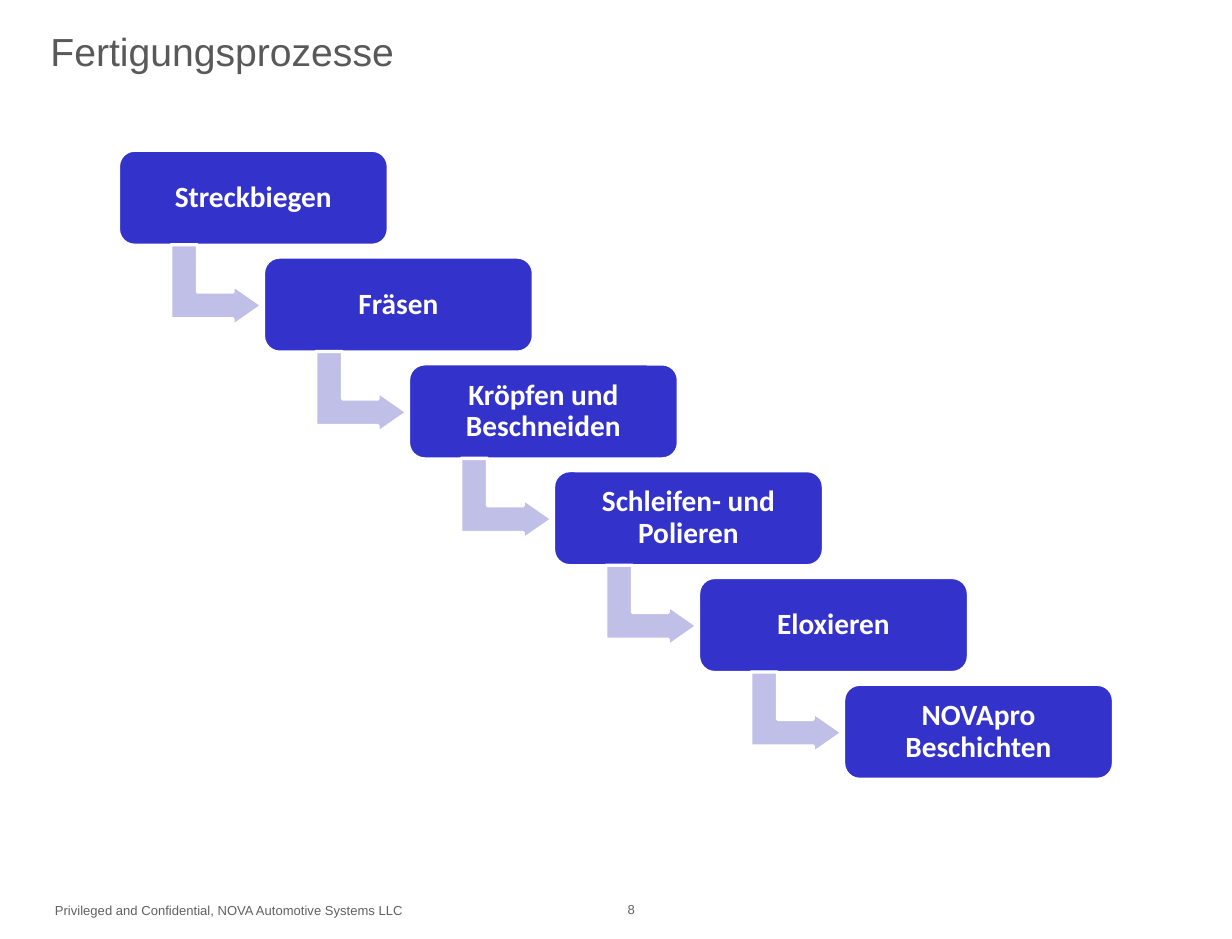
from pptx import Presentation
from pptx.dml.color import RGBColor
from pptx.enum.shapes import MSO_SHAPE
from pptx.enum.text import MSO_ANCHOR, PP_ALIGN
from pptx.util import Inches, Pt

STEPS = ["Streckbiegen", "Fräsen", "Kröpfen und Beschneiden",
         "Schleifen- und Polieren", "Eloxieren", "NOVApro Beschichten"]
LEFT, TOP = 1.01, 1.28
STEP_X, STEP_Y = 6.18 / 5, 0.91
BOX_W, BOX_H = 2.3, 0.81
ARROW_DX, ARROW_DY = 0.49, 0.76
ARROW_W, ARROW_H = 0.69, 0.78


def rgb(value):
    return RGBColor.from_string(value)


def write(sp, text, size=8, font="Arial", color="606060", bold=False,
          align=PP_ALIGN.LEFT, anchor=MSO_ANCHOR.TOP, inset=(0.1, 0.05), spacing=None):
    tf = sp.text_frame
    tf.word_wrap = True
    tf.vertical_anchor = anchor
    tf.margin_left = tf.margin_right = Inches(inset[0])
    tf.margin_top = tf.margin_bottom = Inches(inset[1])
    p = tf.paragraphs[0]
    p.alignment = align
    p.line_spacing = spacing
    r = p.add_run()
    r.text = text
    r.font.size, r.font.name, r.font.bold = Pt(size), font, bold
    r.font.color.rgb = rgb(color)


def add_text(s, text, x, y, w, h, **fmt):
    write(s.shapes.add_textbox(*map(Inches, (x, y, w, h))), text, **fmt)


def add_shape(s, kind, x, y, w, h, fill, adjustments):
    sp = s.shapes.add_shape(kind, *map(Inches, (x, y, w, h)))
    sp.shadow.inherit = False
    sp.fill.solid()
    sp.fill.fore_color.rgb = rgb(fill)
    sp.line.color.rgb = rgb("FFFFFF")
    sp.line.width = Pt(2)
    for i, value in enumerate(adjustments):
        sp.adjustments[i] = value
    return sp


def add_step(s, text, col):
    """Add one box of the staircase, with the arrow from the box before it."""
    x, y = LEFT + col * STEP_X, TOP + col * STEP_Y
    if col:
        arrow = add_shape(s, MSO_SHAPE.BENT_UP_ARROW,
                          x - STEP_X + ARROW_DX, y - STEP_Y + ARROW_DY,
                          ARROW_W, ARROW_H, "BFBFE7", [0.33, 0.25, 0.36])
        arrow.rotation = 90
    box = add_shape(s, MSO_SHAPE.ROUNDED_RECTANGLE, x, y, BOX_W, BOX_H, "3333CC", [0.17])
    write(box, text, size=18, font="Calibri", color="FFFFFF", bold=True,
          align=PP_ALIGN.CENTER, anchor=MSO_ANCHOR.MIDDLE, inset=(0.07, 0.07), spacing=0.9)


def main():
    prs = Presentation()
    prs.slide_width, prs.slide_height = Inches(10.5), Inches(8)
    s = prs.slides.add_slide(prs.slide_layouts[6])
    add_text(s, "Privileged and Confidential, NOVA Automotive Systems LLC",
             0.37, 7.64, 4.3, 0.25)
    add_text(s, "8", 5.25, 7.63, 0.5, 0.26)
    add_text(s, "Fertigungsprozesse", 0.32, 0, 8.48, 0.87, size=24, color="595959",
             anchor=MSO_ANCHOR.MIDDLE, inset=(0.11, 0.05))
    for col, text in enumerate(STEPS):
        add_step(s, text, col)
    prs.save("out.pptx")


if __name__ == "__main__":
    main()
